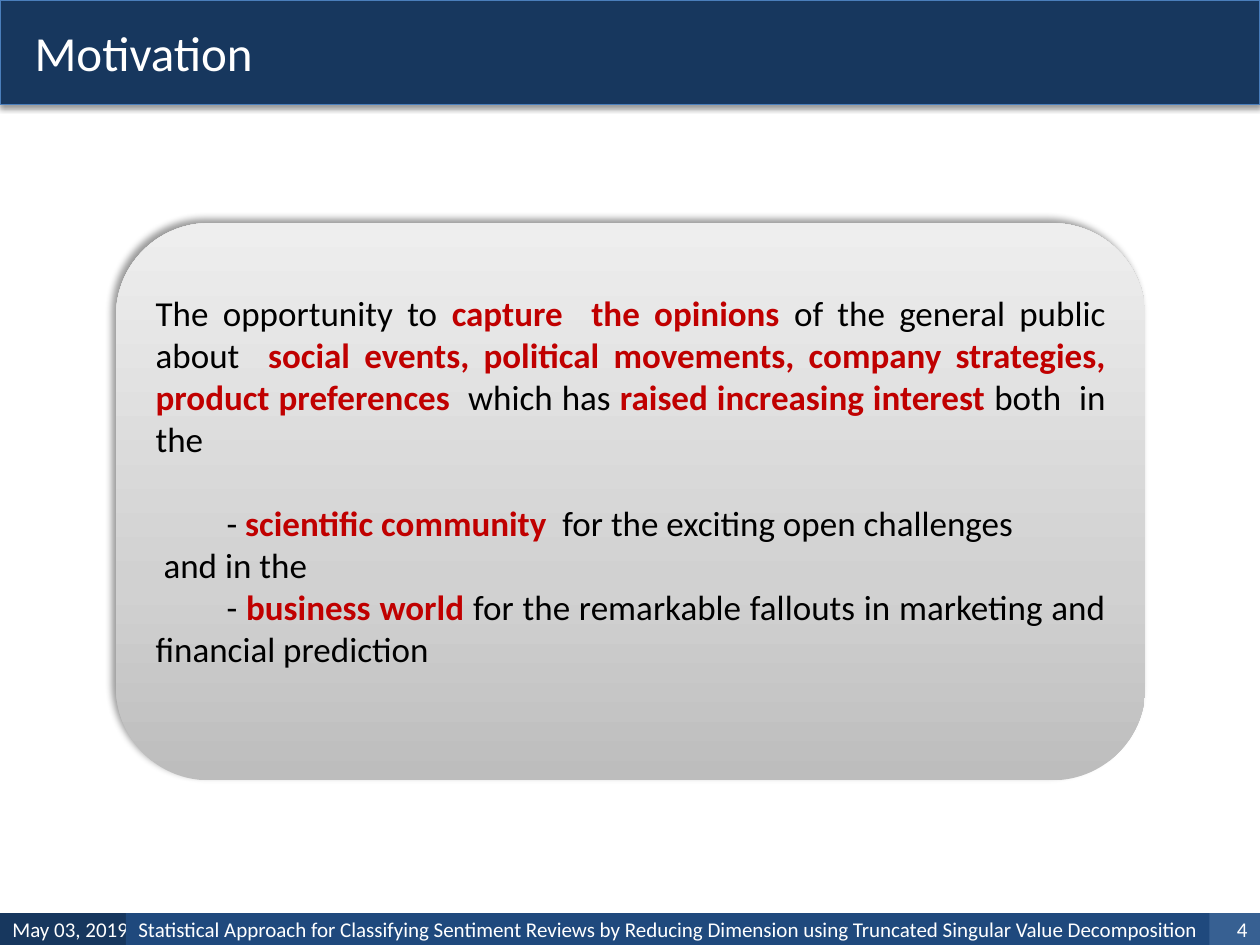
from copy import deepcopy

from lxml import etree
from pptx import Presentation
from pptx.dml.color import RGBColor
from pptx.enum.shapes import MSO_SHAPE
from pptx.enum.text import MSO_ANCHOR, PP_ALIGN
from pptx.oxml.ns import qn
from pptx.util import Cm, Pt

RECTANGLE, ROUNDED = MSO_SHAPE.RECTANGLE, MSO_SHAPE.ROUNDED_RECTANGLE
MIDDLE = MSO_ANCHOR.MIDDLE
LEFT, RIGHT, JUSTIFY = PP_ALIGN.LEFT, PP_ALIGN.RIGHT, PP_ALIGN.JUSTIFY

FONT = "Calibri"
COLORS = {
    "navy": "17375E", "blue": "1F497D", "steel": "376092", "outline": "4A7EBB",
    "white": "FFFFFF", "black": "000000", "red": "C00000",
}
CARD_GRADIENT = [(0, "BDBDBD"), (0.35, "D1D1D1"), (1, "EEEEEE")]
SLIDE_WIDTH, SLIDE_HEIGHT = Cm(25.4), Cm(19.05)

# Each paragraph: first-line indent (cm), space before (pt), (text, is key phrase) spans
MOTIVATION = [
    (0, 0, [
        ("The opportunity to ", False),
        ("capture  the opinions ", True),
        ("of the general public about  ", False),
        ("social events, political movements, company strategies, "
         "product preferences  ", True),
        ("which has ", False),
        ("raised increasing interest ", True),
        ("both  in the", False),
    ]),
    (1.43, 24, [
        ("- ", False),
        ("scientific community  ", True),
        ("for the exciting open challenges", False),
    ]),
    (0.16, 0, [("and in the", False)]),
    (1.43, 0, [
        ("- ", False),
        ("business world ", True),
        ("for the remarkable fallouts in marketing and financial prediction", False),
    ]),
]


def color(name):
    return RGBColor.from_string(COLORS[name])


def style_span(span, size, name, bold=False):
    span.font.name = FONT
    span.font.size = Pt(size)
    span.font.bold = bold
    span.font.color.rgb = color(name)


def add_panel(page, kind, box, fill=None):
    panel = page.shapes.add_shape(kind, *box)
    panel.line.fill.background()
    panel.shadow.inherit = False
    if fill:
        panel.fill.solid()
        panel.fill.fore_color.rgb = color(fill)
    panel.text_frame.word_wrap = True
    panel.text_frame.vertical_anchor = MIDDLE
    return panel


def add_label(panel, text, size, align=LEFT):
    para = panel.text_frame.paragraphs[0]
    para.text = text
    para.alignment = align
    style_span(para.runs[0], size, "white")


def add_shadow(panel, opacity, blur, distance, angle):
    effects = panel._element.spPr.find(qn("a:effectLst"))
    shadow = etree.SubElement(
        effects, qn("a:outerShdw"), blurRad=str(Pt(blur)), dist=str(Pt(distance)),
        dir=str(angle * 60000), rotWithShape="0")
    tint = etree.SubElement(shadow, qn("a:srgbClr"), val=COLORS["black"])
    etree.SubElement(tint, qn("a:alpha"), val=str(opacity * 1000))


def fill_gradient(panel, stops):
    panel.fill.gradient()
    panel.fill.gradient_angle = 90
    first = panel._element.spPr.find(qn("a:gradFill")).find(qn("a:gsLst"))[0]
    for _ in stops[2:]:
        first.addnext(deepcopy(first))
    for stop, (position, value) in zip(panel.fill.gradient_stops, stops):
        stop.position = position
        stop.color.rgb = RGBColor.from_string(value)


def add_header(page, box, title):
    header = add_panel(page, RECTANGLE, box, "navy")
    header.line.color.rgb = color("outline")
    header.line.width = Pt(0.75)
    header.text_frame.margin_left = Cm(0.7)
    add_label(header, title, 28)
    add_shadow(header, 38, 3.1, 1.6, 90)


def add_card(page, box, content):
    card = add_panel(page, ROUNDED, box)
    fill_gradient(card, CARD_GRADIENT)
    add_shadow(card, 40, 4, 3, 225)
    frame = card.text_frame
    frame.margin_bottom = Cm(0.97)  # lifts the text half a line above the middle
    for index, (indent, space, spans) in enumerate(content):
        para = frame.add_paragraph() if index else frame.paragraphs[0]
        para.alignment = JUSTIFY
        para.space_before = Pt(space)
        para._p.get_or_add_pPr().set("indent", str(Cm(indent)))
        for text, is_key in spans:
            span = para.add_run()
            span.text = text
            style_span(span, 20, "red" if is_key else "black", is_key)


def add_footer(page, box, date, talk, number):
    left, top, width, height = box
    number_width = Cm(1.02)
    parts = [
        (left, Cm(3.05), "navy", date, LEFT),
        (left + Cm(2.54), Cm(22.1), "blue", talk, JUSTIFY),
        (left + width - number_width, number_width, "steel", number, RIGHT),
    ]
    for part_left, part_width, fill, text, align in parts:
        part = add_panel(page, RECTANGLE, (part_left, top, part_width, height), fill)
        add_label(part, text, 12, align)


def main():
    deck = Presentation()
    deck.slide_width, deck.slide_height = SLIDE_WIDTH, SLIDE_HEIGHT
    page = deck.slides.add_slide(deck.slide_layouts[6])
    footer_height = Cm(0.64)

    add_header(page, (0, 0, SLIDE_WIDTH, Cm(2.11)), "Motivation")
    add_card(page, (Cm(2.34), Cm(4.5), Cm(20.75), Cm(11.23)), MOTIVATION)
    add_footer(
        page, (0, SLIDE_HEIGHT - footer_height, SLIDE_WIDTH, footer_height),
        "May 03, 2019",
        "Statistical Approach for Classifying Sentiment Reviews by Reducing "
        "Dimension using Truncated Singular Value Decomposition",
        "4")
    deck.save("out.pptx")


if __name__ == "__main__":
    main()
